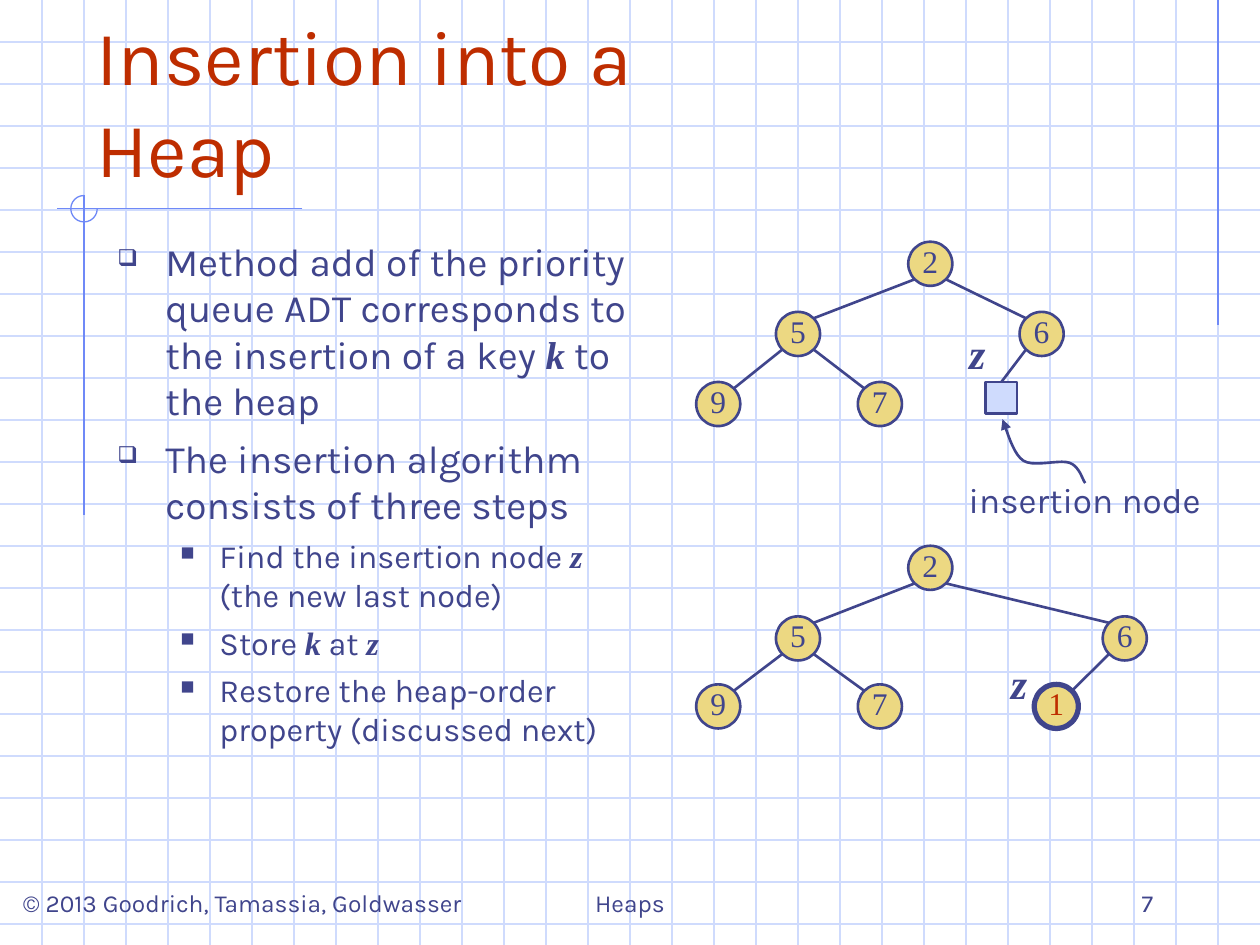
"""Build the heap insertion slide on a grid of thirty columns."""
from lxml import etree
from pptx import Presentation
from pptx.dml.color import RGBColor
from pptx.enum.shapes import MSO_CONNECTOR, MSO_SHAPE
from pptx.enum.text import MSO_ANCHOR, PP_ALIGN
from pptx.oxml.ns import qn
from pptx.util import Inches, Pt

STRAIGHT = MSO_CONNECTOR.STRAIGHT
OVAL, SQUARE, ARC = MSO_SHAPE.OVAL, MSO_SHAPE.RECTANGLE, MSO_SHAPE.ARC
LEFT, CENTER, RIGHT = PP_ALIGN.LEFT, PP_ALIGN.CENTER, PP_ALIGN.RIGHT
TOP, MIDDLE, BOTTOM = MSO_ANCHOR.TOP, MSO_ANCHOR.MIDDLE, MSO_ANCHOR.BOTTOM

COLORS = {
    "ink": "40458C",
    "title": "BE2D00",
    "grid": "CFDBFD",
    "rule": "6F89F7",
    "node": "ECD882",
}
SANS, SERIF = "Karla", "Times New Roman"
COLUMNS, ROWS = 30, 22.5
NODE, SLOT, CORNER = 1.05, 0.75, 0.37
VARIABLES = ("k", "z")

BULLETS = [
    (0, ["Method add of the priority queue ADT corresponds to the insertion of a key ",
         "k", " to the heap"]),
    (0, ["The insertion algorithm consists of three steps"]),
    (1, ["Find the insertion node ", "z", " (the new last node)"]),
    (1, ["Store ", "k", " at ", "z"]),
    (1, ["Restore the heap-order property (discussed next)"]),
]
LEVELS = [
    {"mark": "❑", "size": 22.2, "before": 6, "margin": 0.38, "hang": 0.38},
    {"mark": "■", "size": 18.5, "before": 5, "margin": 0.81, "hang": 0.31},
]
SHARED_NODES = {"2": (22.15, 0), "5": (19, 1), "9": (17.1, 2), "7": (20.95, 2)}
SHARED_EDGES = ["25", "26", "59", "57"]
ARROW_CURVES = [
    [(25.84, 11.5), (25.77, 11.42), (25.71, 11.11), (25.47, 11.02)],
    [(25.47, 11.02), (25.22, 10.93), (24.63, 11.13), (24.37, 10.97)],
    [(24.37, 10.97), (24.11, 10.81), (23.96, 10.19), (23.87, 9.98)],
]


def cell(count):
    """Turn a number of grid cells into a length."""
    return Inches(count / 3)


def color(name):
    """Look up a named colour."""
    return RGBColor.from_string(COLORS[name])


def curve_point(corners, share):
    """Find a point on a cubic curve."""
    rest = 1 - share
    weights = (rest ** 3, 3 * rest ** 2 * share, 3 * rest * share ** 2, share ** 3)
    return tuple(cell(sum(w * corner[axis] for w, corner in zip(weights, corners)))
                 for axis in (0, 1))


class HeapSlide:
    """Hold the style and the current page."""

    def __init__(self, deck):
        """Add a blank page to the deck."""
        deck.slide_width, deck.slide_height = cell(COLUMNS), cell(ROWS)
        self.page = deck.slides.add_slide(deck.slide_layouts[6])

    def line(self, start, end, name="ink", width=1.5):
        """Draw a straight line between two grid points."""
        line = self.page.shapes.add_connector(
            STRAIGHT, *(cell(value) for value in (*start, *end)))
        line.line.color.rgb = color(name)
        line.line.width = Pt(width)
        etree.SubElement(line._element.spPr, qn("a:effectLst"))

    def shape(self, kind, center, size, fill=None, name="ink", width=1.5):
        """Draw a preset shape around a grid point."""
        left, top = (cell(value - size / 2) for value in center)
        shape = self.page.shapes.add_shape(kind, left, top, cell(size), cell(size))
        self.paint(shape, fill, name, width)
        return shape

    def paint(self, shape, fill, name, width):
        """Set the fill and outline of a shape."""
        shape.shadow.inherit = False
        if fill:
            shape.fill.solid()
            shape.fill.fore_color.rgb = color(fill)
        else:
            shape.fill.background()
        shape.line.color.rgb = color(name)
        shape.line.width = Pt(width)

    def spans(self, para, texts, size, face=SANS, name="ink"):
        """Add runs, setting variables in bold italic serif."""
        for text in texts:
            span = para.add_run()
            span.text = text
            variable = text in VARIABLES
            span.font.name = SERIF if variable else face
            span.font.bold = span.font.italic = variable
            span.font.size = Pt(size)
            span.font.color.rgb = color(name)

    def box(self, area, anchor=TOP, wrap=True):
        """Add a text box and return its frame."""
        frame = self.page.shapes.add_textbox(*(cell(value) for value in area)).text_frame
        frame.word_wrap = wrap
        frame.vertical_anchor = anchor
        return frame

    def label(self, area, text, size, align=LEFT, anchor=BOTTOM, wrap=True, name="ink"):
        """Add one paragraph of text."""
        para = self.box(area, anchor, wrap).paragraphs[0]
        para.alignment = align
        self.spans(para, [text], size, name=name)

    def bullets(self, area, items):
        """Add a bulleted list."""
        frame = self.box(area)
        for index, (depth, texts) in enumerate(items):
            level = LEVELS[depth]
            para = frame.add_paragraph() if index else frame.paragraphs[0]
            para.level = depth
            props = para._p.get_or_add_pPr()
            props.set("marL", str(Inches(level["margin"])))
            props.set("indent", str(-Inches(level["hang"])))
            tint = etree.SubElement(props, qn("a:buClr"))
            etree.SubElement(tint, qn("a:srgbClr"), val=COLORS["ink"])
            etree.SubElement(props, qn("a:buSzPct"), val="60000")
            etree.SubElement(props, qn("a:buChar"), char=level["mark"])
            para.space_before = Pt(level["before"] if index else 0)
            self.spans(para, texts, level["size"])

    def node(self, center, key, name="ink", width=1.5):
        """Draw a tree node with its key."""
        frame = self.shape(OVAL, center, NODE, "node", width=width).text_frame
        frame.margin_left = frame.margin_right = frame.margin_top = 0
        frame.margin_bottom = Inches(0.05)
        frame.word_wrap = False
        frame.vertical_anchor = MIDDLE
        frame.paragraphs[0].alignment = CENTER
        self.spans(frame.paragraphs[0], [key], 18, SERIF, name)

    def tree(self, rows, right_column, last=None):
        """Draw a heap, with an empty slot or a new last node."""
        places = {key: (column, rows[depth]) for key, (column, depth) in SHARED_NODES.items()}
        places["6"] = (right_column, rows[1])
        if last:
            places["1"] = last
        for parent, child in SHARED_EDGES + (["61"] if last else []):
            (x, y), (child_x, child_y) = places[parent], places[child]
            side = CORNER if child_x > x else -CORNER
            self.line((x + side, y + CORNER), (child_x - side, child_y - CORNER))
        for key, center in places.items():
            fresh = key == "1"
            self.node(center, key, "title" if fresh else "ink", 3 if fresh else 1.5)

    def arrow(self, curves, steps=10):
        """Draw a curved arrow."""
        points = [curve_point(corners, step / steps)
                  for corners in curves for step in range(1, steps + 1)]
        builder = self.page.shapes.build_freeform(*curve_point(curves[0], 0))
        builder.add_line_segments(points, close=False)
        arrow = builder.convert_to_shape()
        self.paint(arrow, None, "ink", 1.5)
        etree.SubElement(arrow.line._get_or_add_ln(), qn("a:tailEnd"), type="triangle")


def main():
    """Draw the slide and save it."""
    deck = Presentation()
    slide = HeapSlide(deck)
    for row in range(1, 23):
        slide.line((0, row), (COLUMNS, row), "grid", 0.75)
    for column in range(1, COLUMNS):
        slide.line((column, 0), (column, ROWS), "grid", 0.75)
    for start, end in [((29, 0), (29, 7.75)), ((7.2, 4.97), (1.35, 4.97)),
                       ((2, 4.65), (2, 12.27))]:
        slide.line(start, end, "rule", 0.75)
    arc = slide.shape(ARC, (2, 4.97), 0.63, name="rule", width=0.75)
    arc.adjustments[0], arc.adjustments[1] = 0, 162

    slide.label((2, 1, 16.5, 3.75), "Insertion into a Heap", 44, name="title")
    slide.bullets((2.5, 5.5, 12.75, 15.25), BULLETS)

    slide.tree((6.28, 7.95, 9.62), 24.8)
    slide.line((23.84, 9.1), (24.8 - CORNER, 7.95 + CORNER))
    slide.shape(SQUARE, (23.84, 9.47), SLOT, "grid")
    slide.arrow(ARROW_CURVES)
    slide.label((22.68, 11.25, 6.3, 1.32), "insertion node", 20, CENTER, TOP, False)
    slide.tree((13.52, 15.2, 16.82), 26.78, last=(25.15, 16.82))
    for left, top in [(22.77, 7.65), (23.76, 15.51)]:
        slide.label((left, top, 1, 1.5), "z", 24, CENTER, TOP, False)

    slide.label((0.25, 20.5, 12.25, 1.5), "© 2013 Goodrich, Tamassia, Goldwasser", 14)
    slide.label((10.25, 20.5, 9.5, 1.5), "Heaps", 14, CENTER)
    slide.label((21.5, 20.5, 6.25, 1.5), "7", 14, RIGHT)
    deck.save("out.pptx")


if __name__ == "__main__":
    main()
